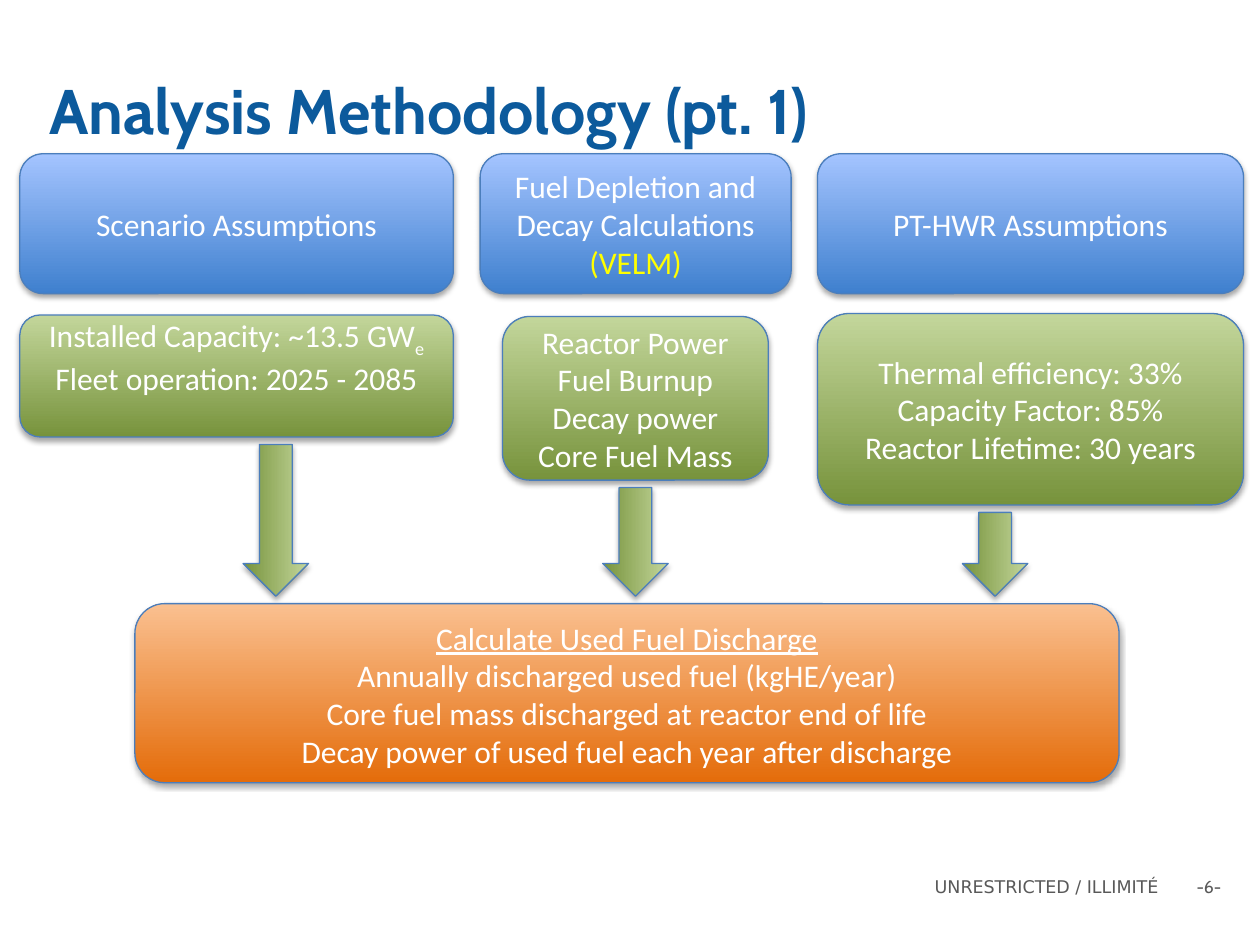
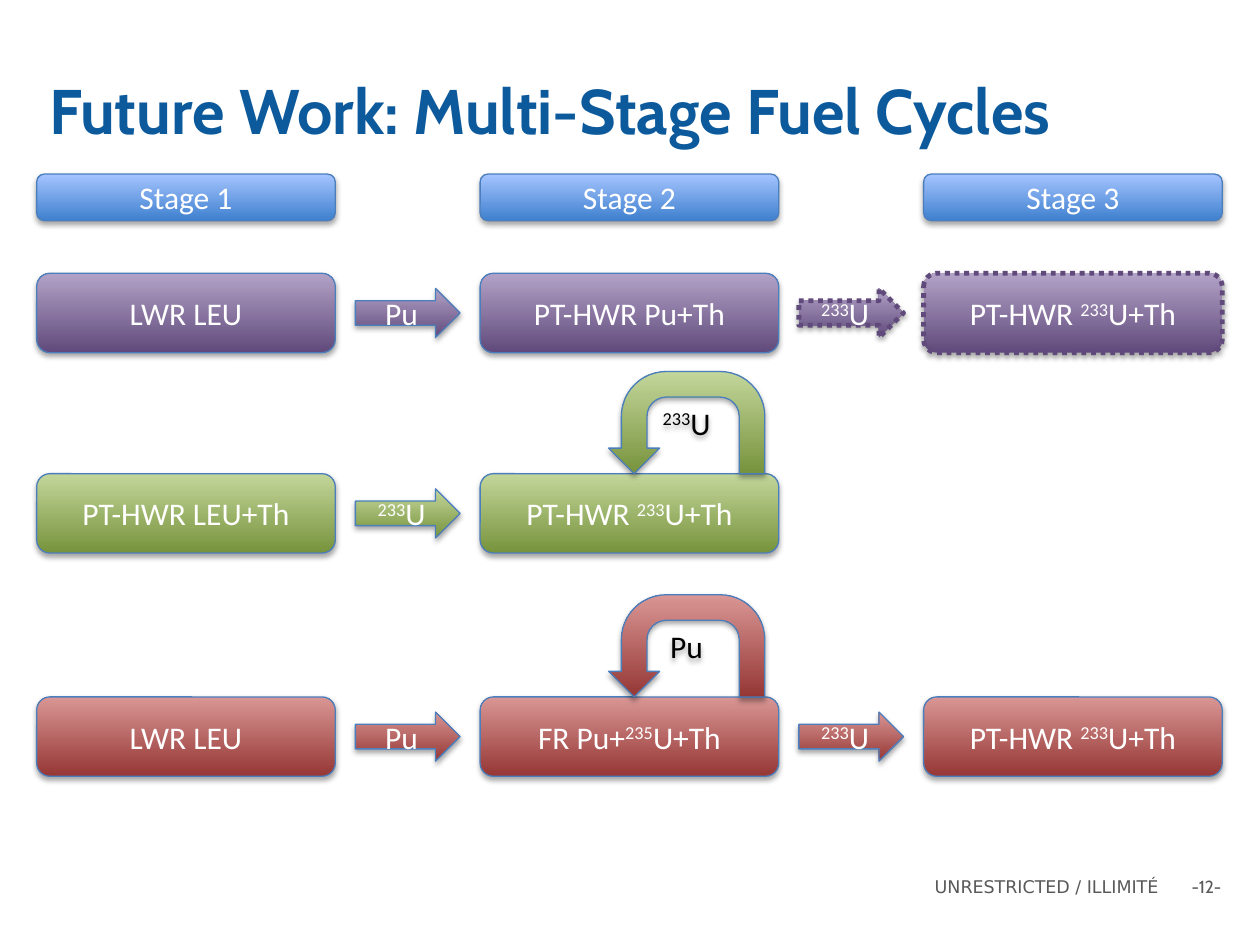
from lxml import etree
from pptx import Presentation
from pptx.dml.color import RGBColor
from pptx.enum.dml import MSO_LINE_DASH_STYLE as Dash
from pptx.enum.shapes import MSO_SHAPE as Preset
from pptx.enum.text import MSO_ANCHOR as Anchor, PP_ALIGN as Align
from pptx.oxml.ns import qn
from pptx.util import Cm, Pt

COLORS = {
    "title": "0C5A9C", "footer": "595959", "outline": "4B7EBC",
    "white": "FFFFFF", "black": "000000", "yellow": "FFFF00",
}
# Gradients run from the bottom colour to the top colour.
GRADIENTS = {
    "blue": ("3F80CE", "A4C4FF"),
    "green": ("77933C", "C3D69B"),
    "orange": ("E46C0A", "FAC090"),
    "purple": ("604A7B", "B3A2C7"),
    "red": ("953735", "D99694"),
}
MARKING = "UNRESTRICTED / ILLIMITÉ"
# Pieces set between bars in a text are raised or lowered by these amounts.
BASELINES = {"233": 30000, "235": 30000, "e": -25000}

METHOD_TITLE, METHOD_PAGE = "Analysis Methodology (pt. 1)", 6
# Boxes are (left, top, width, height) in centimetres.
INPUTS = [
    {"heading": ["Scenario Assumptions"], "heading_box": (0.4, 3.1, 8.74, 2.82),
     "details": ["Installed Capacity: ~13.5 GW|e|", "Fleet operation: 2025 - 2085"],
     "details_box": (0.4, 6.35, 8.74, 2.46), "space_below": 0.9},
    {"heading": ["Fuel Depletion and Decay Calculations", "(VELM)"],
     "heading_box": (9.68, 3.1, 6.27, 2.82),
     "details": ["Reactor Power", "Fuel Burnup", "Decay power", "Core Fuel Mass"],
     "details_box": (10.13, 6.38, 5.36, 3.3)},
    {"heading": ["PT-HWR Assumptions"], "heading_box": (16.48, 3.1, 8.59, 2.82),
     "details": ["Thermal efficiency: 33%", "Capacity Factor: 85%",
                 "Reactor Lifetime: 30 years"],
     "details_box": (16.48, 6.32, 8.59, 3.86)},
]
DISCHARGE = [
    "Calculate Used Fuel Discharge",
    "Annually discharged used fuel (kgHE/year)",
    "Core fuel mass discharged at reactor end of life",
    "Decay power of used fuel each year after discharge",
]
DISCHARGE_BOX = (2.72, 12.17, 19.84, 3.61)

CYCLES_TITLE, CYCLES_PAGE = "Future Work: Multi-Stage Fuel Cycles", 12
STAGES = ["Stage 1", "Stage 2", "Stage 3"]
CYCLES = [
    {"color": "purple", "top": 5.51, "transfers": ["Pu", "|233|U"], "planned_stage": 2,
     "reactors": ["LWR LEU", "PT-HWR Pu+Th", "PT-HWR |233|U+Th"]},
    {"color": "green", "top": 9.55, "transfers": ["|233|U"], "recycled": "|233|U",
     "reactors": ["PT-HWR LEU+Th", "PT-HWR |233|U+Th"]},
    {"color": "red", "top": 14.05, "transfers": ["Pu", "|233|U"], "recycled": "Pu",
     "reactors": ["LWR LEU", "FR Pu+|235|U+Th", "PT-HWR |233|U+Th"]},
]


def rgb(name):
    return RGBColor.from_string(COLORS[name])


def write(frame, lines, size, font, color, align, bold=None):
    """Fill a text frame, one paragraph a line."""
    frame.word_wrap = True
    for number, line in enumerate(lines):
        paragraph = frame.add_paragraph() if number else frame.paragraphs[0]
        paragraph.alignment = align
        paragraph.font.size = Pt(size)
        paragraph.font.name = font
        paragraph.font.bold = bold
        paragraph.font.color.rgb = rgb(color)
        for index, piece in enumerate(line.split("|")):
            if piece:
                run = paragraph.add_run()
                run.text = piece
                if index % 2:
                    run._r.get_or_add_rPr().set("baseline", str(BASELINES[piece]))


def add_label(slide, box, text, size, font, color, align, bold=None):
    frame = slide.shapes.add_textbox(*map(Cm, box)).text_frame
    write(frame, [text], size, font, color, align, bold)
    return frame


def add_shadow(shape):
    shape.shadow.inherit = False
    effects = shape._element.spPr.find(qn("a:effectLst"))
    shadow = etree.SubElement(effects, qn("a:outerShdw"), blurRad="39370", dist="22860",
                              dir="5400000", rotWithShape="0")
    black = etree.SubElement(shadow, qn("a:srgbClr"), val=COLORS["black"])
    etree.SubElement(black, qn("a:alpha"), val="35000")


def add_block(slide, preset, box, gradient, lines=(), color="white", planned=False):
    """Add a shaded shape; a planned one gets a thick dotted outline."""
    shape = slide.shapes.add_shape(preset, *map(Cm, box))
    shape.fill.gradient()
    shape.fill.gradient_angle = 90
    for stop, value in zip(shape.fill.gradient_stops, GRADIENTS[gradient]):
        stop.color.rgb = RGBColor.from_string(value)
    shape.line.color.rgb = rgb("outline")
    shape.line.width = Pt(0.75)
    if planned:
        shape.line.color.rgb = RGBColor.from_string(GRADIENTS[gradient][0])
        shape.line.width = Pt(2.75)
        shape.line.dash_style = Dash.ROUND_DOT
    add_shadow(shape)
    shape.text_frame.vertical_anchor = Anchor.MIDDLE
    write(shape.text_frame, lines, 18, "Calibri", color, Align.CENTER)
    return shape


def add_slide(deck, title, page):
    """Add a slide with the shared title and footer."""
    slide = deck.slides.add_slide(deck.slide_layouts[6])
    add_label(slide, (23.14, 17.53, 1.73, 0.69), f"-{page}-", 10, "Cabin",
              "footer", Align.RIGHT)
    add_label(slide, (11, 17.53, 12.6, 0.74), MARKING, 10, "DejaVu Sans",
              "footer", Align.RIGHT)
    heading = add_label(slide, (0.74, 1.32, 23.9, 1.78), title, 36, "Cabin",
                        "title", Align.LEFT, True)
    heading.vertical_anchor = Anchor.MIDDLE
    return slide


def build_methodology(deck):
    slide = add_slide(deck, METHOD_TITLE, METHOD_PAGE)
    arrow_gap, arrow_breadth = 0.15, 1.32
    first_center, center_step = 5.56, 7.25
    for number, source in enumerate(INPUTS):
        heading = add_block(slide, Preset.ROUNDED_RECTANGLE, source["heading_box"],
                            "blue", source["heading"])
        for code_name in heading.text_frame.paragraphs[1:]:
            code_name.font.color.rgb = rgb("yellow")
        details = add_block(slide, Preset.ROUNDED_RECTANGLE, source["details_box"],
                            "green", source["details"])
        if "space_below" in source:
            details.text_frame.margin_bottom = Cm(source["space_below"])

        _, top, _, height = source["details_box"]
        start = top + height + arrow_gap
        end = DISCHARGE_BOX[1] - arrow_gap
        length = end - start
        center = first_center + number * center_step
        arrow = add_block(slide, Preset.RIGHT_ARROW,
                          (center - length / 2, (start + end - arrow_breadth) / 2,
                           length, arrow_breadth), "green")
        arrow.rotation = 90

    discharge = add_block(slide, Preset.ROUNDED_RECTANGLE, DISCHARGE_BOX, "orange", DISCHARGE)
    discharge.text_frame.vertical_anchor = Anchor.TOP
    discharge.text_frame.paragraphs[0].font.underline = True


def build_fuel_cycles(deck):
    slide = add_slide(deck, CYCLES_TITLE, CYCLES_PAGE)
    width, height = 6.02, 1.6
    arrow_width, arrow_height = 2.11, 0.99
    loop_width, loop_height, loop_offset = 3.15, 2.06, 2.59
    lefts = [0.74 + 8.94 * stage for stage in range(len(STAGES))]

    for left, stage in zip(lefts, STAGES):
        add_block(slide, Preset.ROUNDED_RECTANGLE, (left, 3.51, width, 0.94), "blue", [stage])

    for cycle in CYCLES:
        color, top = cycle["color"], cycle["top"]
        planned_stage = cycle.get("planned_stage")
        for stage, reactor in enumerate(cycle["reactors"]):
            add_block(slide, Preset.ROUNDED_RECTANGLE, (lefts[stage], top, width, height),
                      color, [reactor], planned=stage == planned_stage)
        for stage, material in enumerate(cycle["transfers"], start=1):
            middle = (lefts[stage - 1] + width + lefts[stage]) / 2
            add_block(slide, Preset.RIGHT_ARROW,
                      (middle - arrow_width / 2, top + (height - arrow_height) / 2,
                       arrow_width, arrow_height),
                      color, [material], planned=stage == planned_stage)
        if "recycled" in cycle:
            loop = add_block(slide, Preset.U_TURN_ARROW,
                             (lefts[1] + loop_offset, top - loop_height,
                              loop_width, loop_height),
                             color, [cycle["recycled"]], "black")
            for index, value in enumerate((0.25, 0.25, 0.25, 0.44, 1)):
                loop.adjustments[index] = value
            loop._element.spPr.find(qn("a:xfrm")).set("flipH", "1")


def main():
    deck = Presentation()
    deck.slide_width, deck.slide_height = Cm(25.4), Cm(19.05)
    build_methodology(deck)
    build_fuel_cycles(deck)
    deck.save("out.pptx")


if __name__ == "__main__":
    main()
